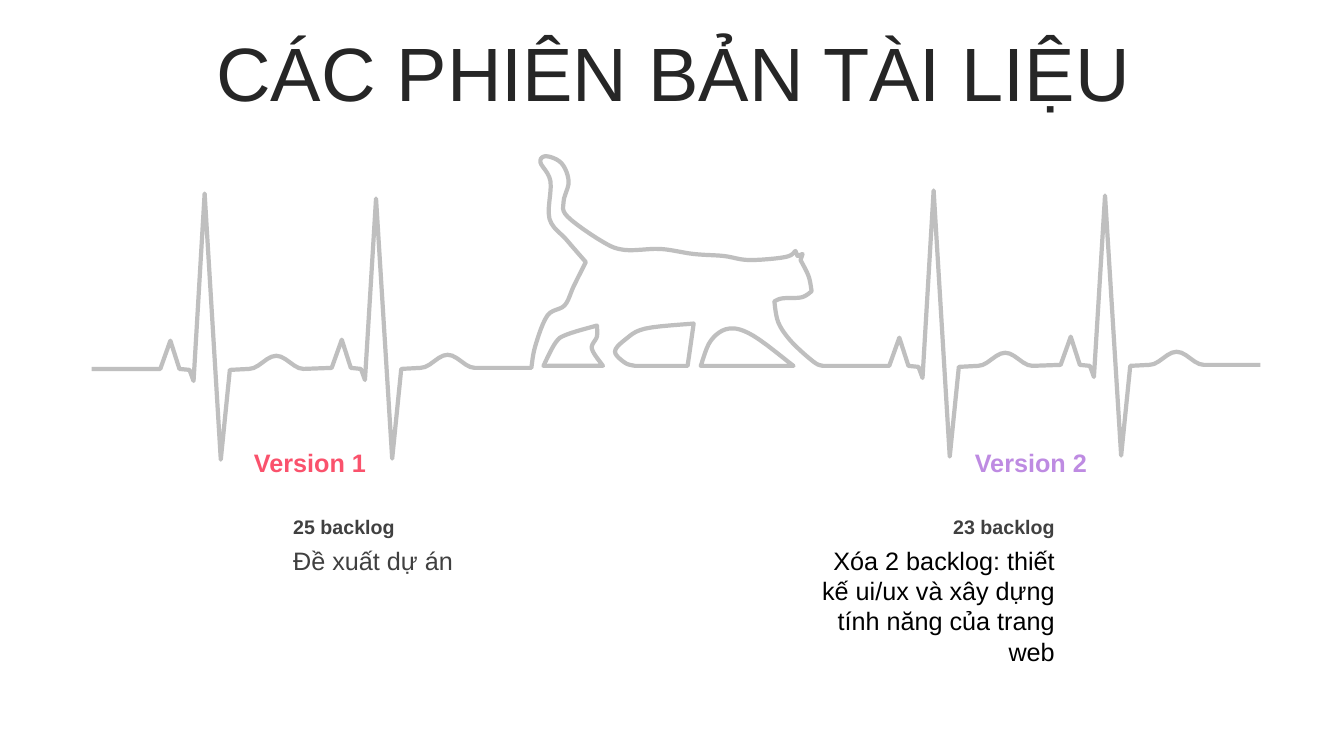
import math
from dataclasses import dataclass

import lxml.etree
import pptx
import pptx.dml.color
import pptx.enum.shapes
import pptx.enum.text
import pptx.oxml.ns
import pptx.util

Inches = pptx.util.Inches
ALIGN = pptx.enum.text.PP_ALIGN
ANCHOR = pptx.enum.text.MSO_ANCHOR
FIT = pptx.enum.text.MSO_AUTO_SIZE
color = pptx.dml.color.RGBColor.from_string


@dataclass
class Theme:
    font = "Arial"
    title_size = 54
    body_size = 18
    count_size = 14
    line_width = 3
    title = color("262626")
    grey_text = color("404040")
    black = color("000000")
    white = color("FFFFFF")
    pulse = color("BFBFBF")
    pink = color("FA526C")
    violet = color("BE8BE2")


theme = Theme()


def write(box, text, size, color, bold=False, align=ALIGN.LEFT,
          anchor=ANCHOR.MIDDLE, fit=FIT.SHAPE_TO_FIT_TEXT, spacing=None):
    frame = box.text_frame
    frame.word_wrap = True
    frame.auto_size = fit
    frame.vertical_anchor = anchor
    para = frame.paragraphs[0]
    para.alignment = align
    para.line_spacing = spacing
    span = para.add_run()
    span.text = text
    span.font.name = theme.font
    span.font.size = pptx.util.Pt(size)
    span.font.bold = bold
    span.font.color.rgb = color


def smooth(points, steps=6):
    """Catmull-Rom curve that passes through all the points."""
    padded = [points[0], *points, points[-1]]
    curve = [points[0]]
    for before, start, end, after in zip(padded, padded[1:], padded[2:], padded[3:]):
        for step in range(1, steps + 1):
            t = step / steps
            curve.append(tuple(
                b + ((c - a) * t + (2 * a - 5 * b + 4 * c - d) * t ** 2
                     + (3 * b - a - 3 * c + d) * t ** 3) / 2
                for a, b, c, d in zip(before, start, end, after)))
    return curve


deck = pptx.Presentation()
deck.slide_width = Inches(13.33)
deck.slide_height = Inches(7.5)
page = deck.slides.add_slide(deck.slide_layouts[5])

# Title
title = page.shapes.title
title.left, title.top, title.width, title.height = map(Inches, (0.35, 0.37, 12.66, 0.79))
write(title, "CÁC PHIÊN BẢN TÀI LIỆU", theme.title_size, theme.title,
      align=ALIGN.CENTER, fit=FIT.NONE, spacing=0.9)

# One heartbeat, measured from its spike on the base line; spike height varies
wave_center, wave_width, wave_height, wave_steps = 0.71, 0.54, 0.13, 12
wave = [(wave_center + wave_width * (step / wave_steps - 0.5),
         -wave_height * math.sin(math.pi * step / wave_steps) ** 2)
        for step in range(wave_steps + 1)]
beats = []
for spike_x, base, spike_height in ((2.03, 3.66, 1.74), (3.73, 3.65, 1.68),
                                    (9.26, 3.63, 1.74), (10.96, 3.62, 1.68)):
    bump = [(-0.44, 0), (-0.34, -0.28), (-0.25, 0)]
    dip = [(-0.15, 0.01), (-0.11, 0.12)]
    spike = [(0, -spike_height), (0.16, 0.9), (0.25, 0.01)]
    beats.append([(spike_x + x, base + y) for x, y in bump + dip + spike + wave])

# Cat: each body part is a smooth curve, with corners between the parts
hind_leg = [(5.27, 3.65), (5.31, 3.43), (5.43, 3.13), (5.6, 3.03), (5.69, 2.84), (5.81, 2.6)]
tail_and_back = [(5.81, 2.6), (5.62, 2.38), (5.45, 2.17), (5.46, 1.8), (5.36, 1.61),
                 (5.42, 1.55), (5.57, 1.62), (5.64, 1.8), (5.59, 2), (5.63, 2.15),
                 (5.98, 2.4), (6.2, 2.48), (6.55, 2.47), (6.88, 2.52), (7.18, 2.54),
                 (7.43, 2.58), (7.79, 2.55), (7.89, 2.49)]
ear = [(7.91, 2.54), (7.96, 2.52)]
face = [(7.94, 2.58), (8.02, 2.74), (8.05, 2.89)]
jaw = [(8.05, 2.89), (7.95, 2.95), (7.76, 2.96), (7.68, 2.99)]
front_leg = [(7.68, 2.99), (7.72, 3.2), (7.85, 3.39), (8.07, 3.59), (8.16, 3.63)]
cat = (smooth(hind_leg) + smooth(tail_and_back) + ear
       + smooth(face) + smooth(jaw) + smooth(front_leg))

# Gaps between the legs: curved sides closed by a straight floor
floor = 3.63
rear_gap = (smooth([(5.39, floor), (5.51, 3.4), (5.62, 3.32), (5.92, 3.23)])
            + smooth([(5.92, 3.23), (5.92, 3.34), (5.87, 3.46), (5.98, floor)]))
middle_gap = [(6.82, floor)] + smooth([(6.88, 3.21), (6.4, 3.26), (6.2, 3.37),
                                       (6.1, 3.49), (6.2, 3.6), (6.3, floor)])
front_gap = smooth([(6.95, floor), (7.05, 3.38), (7.23, 3.26), (7.47, 3.33), (7.87, floor)])

# The pulse line runs through two beats, the cat and two more beats
pulse_line = [(0.91, 3.66), *beats[0], *beats[1], *cat, *beats[2], *beats[3], (12.5, 3.62)]

drawing = page.shapes.add_group_shape()
for points, closed in ((pulse_line, False), (front_gap, True),
                       (middle_gap, True), (rear_gap, True)):
    start, *others = [(Inches(x), Inches(y)) for x, y in points]
    builder = drawing.shapes.build_freeform(*start)
    builder.add_line_segments(others, close=closed)
    stroke = builder.convert_to_shape()
    stroke.shadow.inherit = False
    stroke.fill.background()
    stroke.line.color.rgb = theme.pulse
    stroke.line.width = pptx.util.Pt(theme.line_width)
    outline = stroke.element.spPr.find(pptx.oxml.ns.qn("a:ln"))
    lxml.etree.SubElement(outline, pptx.oxml.ns.qn("a:round"))

# Backlog count and description of each version
versions = [
    (2.81, 0.4, ALIGN.LEFT, theme.grey_text, "25 backlog", "Đề xuất dự án"),
    (7.93, 1.31, ALIGN.RIGHT, theme.black, "23 backlog",
     "Xóa 2 backlog: thiết kế ui/ux và xây dựng tính năng của trang web")]
for left, height, align, text_color, count, description in versions:
    group = page.shapes.add_group_shape()
    box = group.shapes.add_textbox(Inches(left), Inches(5.06), Inches(2.63), Inches(0.34))
    write(box, count, theme.count_size, theme.grey_text, bold=True, align=align)
    box = group.shapes.add_textbox(Inches(left), Inches(5.36), Inches(2.63), Inches(height))
    write(box, description, theme.body_size, text_color, align=align, anchor=ANCHOR.TOP)

# Version labels: a plain text box and a white rectangle
first_label = page.shapes.add_textbox(Inches(2.39), Inches(4.39), Inches(1.37), Inches(0.4))
second_label = page.shapes.add_shape(pptx.enum.shapes.MSO_SHAPE.RECTANGLE,
                                     Inches(9.46), Inches(4.39), Inches(1.53), Inches(0.4))
second_label.shadow.inherit = False
second_label.fill.solid()
second_label.fill.fore_color.rgb = theme.white
second_label.line.fill.background()
for label, text, text_color in ((first_label, "Version 1", theme.pink),
                                (second_label, "Version 2", theme.violet)):
    write(label, text, theme.body_size, text_color, bold=True, align=ALIGN.CENTER)

deck.save("out.pptx")
